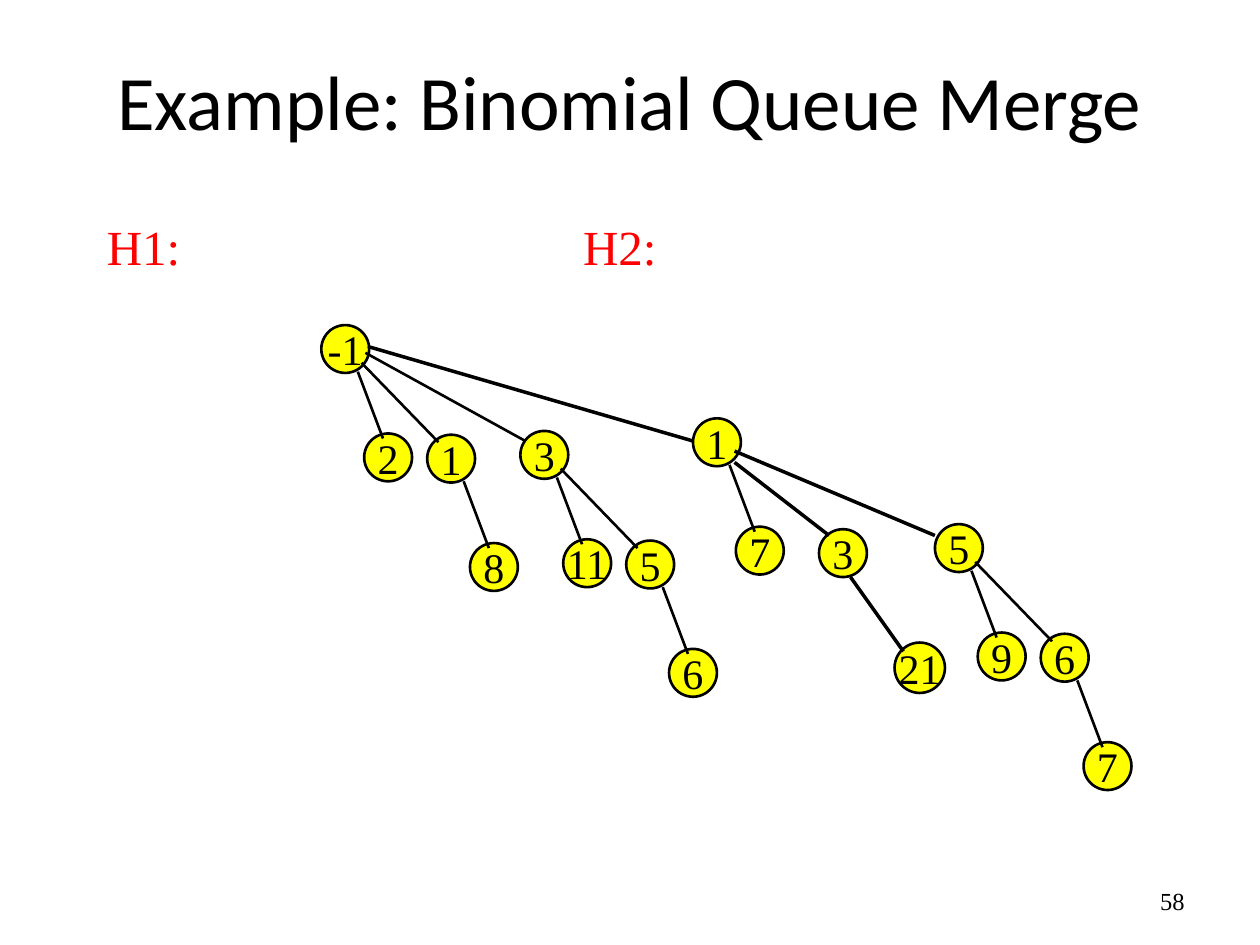
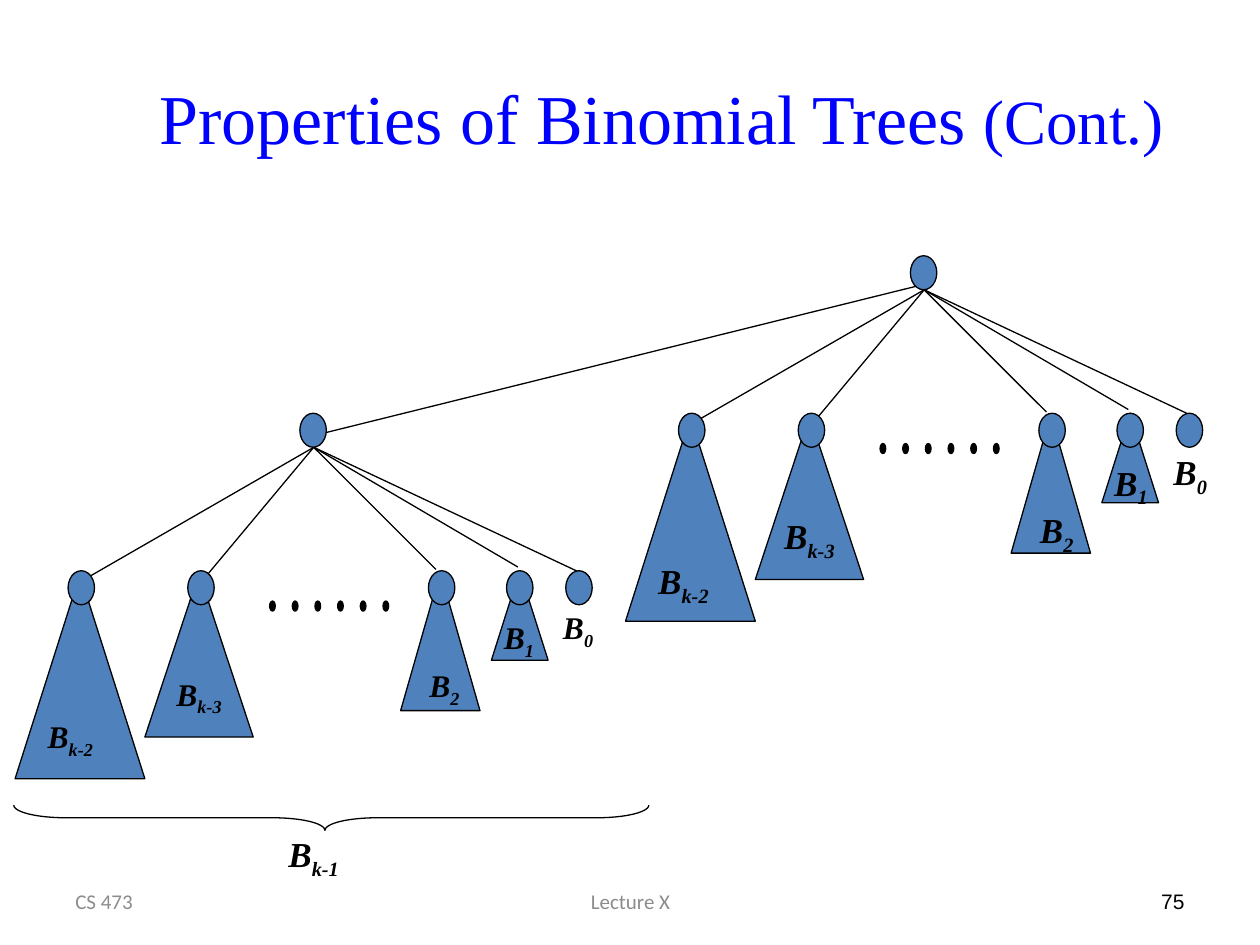
from lxml import etree
from pptx import Presentation
from pptx import util as u
from pptx.dml.color import RGBColor
from pptx.enum import shapes, text
from pptx.oxml.ns import qn

CELL = u.Inches(0.1)
COLS, ROWS = 100, 75
BLACK, WHITE, RED, TITLE_BLUE = "000000", "FFFFFF", "FF0000", "0000FF"
YELLOW, TREE_BLUE, GREY = "FFFF00", "4F81BD", "8C8C8C"
SERIF, SANS, ARIAL = "Times New Roman", "Calibri", "Arial"
LEFT, CENTER, RIGHT = text.PP_ALIGN.LEFT, text.PP_ALIGN.CENTER, text.PP_ALIGN.RIGHT
OVAL = shapes.MSO_SHAPE.OVAL
TRIANGLE = shapes.MSO_SHAPE.ISOSCELES_TRIANGLE

NODE = 3.8
CHILD_OFFSETS = {1: (3.4, 8.6), 2: (8.4, 8.7), 4: (15.8, 8.4)}
CHILD_EDGES = {1: (2.9, 3.7, 4.9, 9), 2: (3.2, 3, 9.3, 9.3), 4: (3.5, 2.2, 16.2, 9.2)}

SUBTREES = [
    ("k-2", 5.4, (7.2, 45.7), (1.2, 45.6, 10.3, 16.2)),
    ("k-3", 14.9, (16.3, 45.8), (11.5, 45.5, 8.6, 13)),
    ("2", 34, (34.6, 45.2), (31.8, 45.4, 6.3, 11)),
    ("1", 40.2, (41.1, 45), (39, 45.3, 4.5, 7.1)),
    ("0", 44.9, (46.8, 45.8), None),
]
SUBTREE_LABELS = [("k-2", 2.8, 56.4), ("2", 33.1, 52.4), ("1", 39, 48.6), ("0", 43.7, 47.8)]


def cells(*counts):
    return [u.Emu(round(n * CELL)) for n in counts]


def color(hex_code):
    return RGBColor.from_string(hex_code)


def set_font(font, size, name, hex_code, strong=None):
    font.size, font.name = u.Pt(size), name
    font.color.rgb = color(hex_code)
    font.bold = font.italic = strong


def add_title(s, box, parts, name, hex_code):
    sp = s.shapes.title
    sp.left, sp.top, sp.width, sp.height = cells(*box)
    sp.text_frame.vertical_anchor = text.MSO_ANCHOR.MIDDLE
    p = sp.text_frame.paragraphs[0]
    p.alignment = CENTER
    for words, size in parts:
        r = p.add_run()
        r.text = words
        set_font(r.font, size, name, hex_code)


def add_text(s, box, words, size, name, hex_code, align=LEFT, anchor=text.MSO_ANCHOR.TOP):
    tf = s.shapes.add_textbox(*cells(*box)).text_frame
    tf.word_wrap = True
    tf.vertical_anchor = anchor
    p = tf.paragraphs[0]
    p.text, p.alignment = words, align
    set_font(p.font, size, name, hex_code)
    return p


def add_footer(s, left, width, words, size, name, hex_code, align):
    add_text(s, (left, 69.5, width, 4), words, size, name, hex_code, align,
             text.MSO_ANCHOR.MIDDLE)


def add_shape(s, kind, box, fill, weight=0.75):
    sp = s.shapes.add_shape(kind, *cells(*box))
    sp.shadow.inherit = False
    if fill:
        sp.fill.solid()
        sp.fill.fore_color.rgb = color(fill)
    else:
        sp.fill.background()
    sp.line.color.rgb = color(BLACK)
    sp.line.width = u.Pt(weight)
    return sp


def add_edge(s, x1, y1, x2, y2, weight=0.75):
    cx = s.shapes.add_connector(shapes.MSO_CONNECTOR.STRAIGHT, *cells(x1, y1, x2, y2))
    cx.line.color.rgb = color(BLACK)
    cx.line.width = u.Pt(weight)
    etree.SubElement(cx._element.spPr, qn("a:effectLst"))


def add_node(s, x, y, key, size=NODE):
    sp = add_shape(s, OVAL, (x, y, size, size), YELLOW, 1.5)
    tf = sp.text_frame
    tf.word_wrap = False
    tf.vertical_anchor = text.MSO_ANCHOR.MIDDLE
    p = tf.paragraphs[0]
    p.text, p.alignment = key, CENTER
    set_font(p.font, 24, SERIF, BLACK)


def add_binomial_tree(s, x, y, keys):
    half = len(keys) // 2
    if not half:
        add_node(s, x, y, keys[0])
        return
    dx, dy = CHILD_OFFSETS[half]
    add_binomial_tree(s, x, y, keys[:half])
    add_binomial_tree(s, x + dx, y + dy, keys[half:])
    x1, y1, x2, y2 = CHILD_EDGES[half]
    add_edge(s, x + x1, y + y1, x + x2, y + y2, 1.5)


def write_rank(tf, rank, size, align=LEFT):
    tf.word_wrap = False
    p = tf.paragraphs[0]
    p.alignment = align
    for words in ("B", rank):
        r = p.add_run()
        r.text = words
        set_font(r.font, size, SERIF, BLACK, True)
    r.font._element.set("baseline", "-25000")


def add_rank_label(s, x, y, rank, size):
    width = (3.9 if len(rank) > 1 else 2.5) + size * 0.11
    tf = s.shapes.add_textbox(*cells(x, y, width, size * 0.22)).text_frame
    write_rank(tf, rank, size)
    tf.auto_size = text.MSO_AUTO_SIZE.SHAPE_TO_FIT_TEXT


def add_tree_schema(s, dx, dy, size):
    def moved(x, y, *extent):
        return (x + dx, y + dy, *extent)

    for rank, _, _, triangle in SUBTREES:
        if triangle:
            sp = add_shape(s, TRIANGLE, moved(*triangle), TREE_BLUE)
            if rank == "k-3":
                sp.text_frame.vertical_anchor = text.MSO_ANCHOR.MIDDLE
                write_rank(sp.text_frame, rank, size, CENTER)
    for i in range(6):
        add_shape(s, OVAL, moved(21.4 + 1.8 * i, 47.7, 0.45, 0.8), BLACK)
    for _, _, end, _ in SUBTREES:
        add_edge(s, *moved(24.9, 35.5), *moved(*end))
    for rank, x, y in SUBTREE_LABELS:
        add_rank_label(s, *moved(x, y), rank, size)
    for x, y in [(x, 45.3) for _, x, _, _ in SUBTREES] + [(23.8, 32.8)]:
        add_shape(s, OVAL, moved(x, y, 2.1, 2.7), TREE_BLUE)


def build_merge(s):
    add_title(s, (7.5, 1.7, 85, 12.5), [("Example: Binomial Queue Merge", 44)], SANS, BLACK)
    add_footer(s, 71.7, 23.3, "58", 14, SERIF, BLACK, RIGHT)
    p = add_text(s, (7.5, 16.7, 45.6, 5.7), "H1:\tH2:", 28, SERIF, RED)
    tabs = etree.SubElement(p._p.get_or_add_pPr(), qn("a:tabLst"))
    etree.SubElement(tabs, qn("a:tab"), pos=str(cells(37.8)[0]), algn="l")
    p._p.pPr.insert(0, tabs)

    add_binomial_tree(s, 55, 33.2, ["1", "7"])
    add_node(s, 65, 42, "3")
    add_binomial_tree(s, 25.5, 25.8, ["-1", "2", "1", "8", "3", "11", "5", "6"])
    add_binomial_tree(s, 74.2, 41.6, ["5", "9", "6", "7"])
    add_node(s, 71, 51, "21", 4)
    for edge in [(67.5, 45.8, 71.7, 51.7), (58.3, 36.7, 65.8, 42.5),
                 (58.3, 35.8, 74.2, 42.5), (29.2, 27.5, 55, 35)]:
        add_edge(s, *edge, 2)


def build_properties(s):
    add_footer(s, 5, 23.3, "CS 473", 12, SANS, GREY, LEFT)
    add_footer(s, 34.2, 31.7, "Lecture X", 12, SANS, GREY, CENTER)
    add_footer(s, 71.7, 23.3, "75", 12, ARIAL, BLACK, RIGHT)
    add_title(s, (5, 3, 95, 12.5),
              [("Properties of Binomial Trees ", 40), ("(Cont.)", 36)], SERIF, TITLE_BLUE)
    add_edge(s, 25.6, 34.4, 73.6, 22.5)
    add_rank_label(s, 21.9, 65.6, "k-1", 20)
    add_tree_schema(s, 0, 0, 18)
    brace = add_shape(s, shapes.MSO_SHAPE.LEFT_BRACE, (25.3, 39.7, 2, 50.4), None)
    brace.rotation = 270
    brace.adjustments[0], brace.adjustments[1] = 2.07, 0.49
    add_tree_schema(s, 48.45, -12.5, 20)


def main():
    prs = Presentation()
    prs.slide_width, prs.slide_height = cells(COLS, ROWS)
    for build in (build_merge, build_properties):
        s = prs.slides.add_slide(prs.slide_layouts[5])
        s.background.fill.solid()
        s.background.fill.fore_color.rgb = color(WHITE)
        build(s)
    prs.save("out.pptx")


if __name__ == "__main__":
    main()
